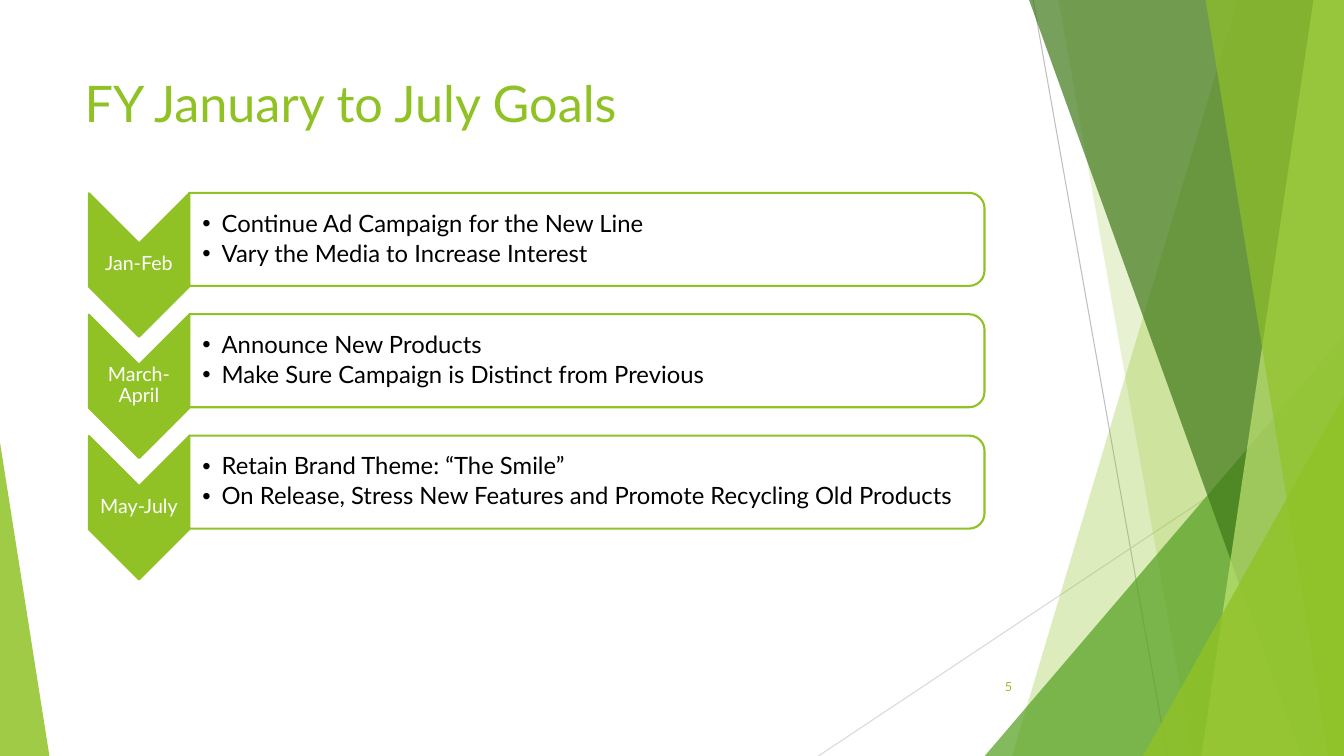
from lxml.etree import SubElement
from pptx import Presentation
from pptx.dml.color import RGBColor
from pptx.enum.shapes import MSO_CONNECTOR as Connector, MSO_SHAPE as Preset
from pptx.enum.text import MSO_ANCHOR as Anchor, MSO_AUTO_SIZE as AutoSize, PP_ALIGN as Align
from pptx.oxml.ns import qn
from pptx.util import Pt

COLORS = {
    "lime": "90C226",
    "green": "54A021",
    "forest": "3F7819",
    "pale": "C0E474",
    "white": "FFFFFF",
    "black": "000000",
    "gray": "BFBFBF",
    "light_gray": "D9D9D9",
}
WIDTH, HEIGHT = 960, 540
PITCH = 86.7

GOALS = [
    ("Jan-Feb", ["Continue Ad Campaign for the New Line",
                 "Vary the Media to Increase Interest"]),
    ("March-April", ["Announce New Products",
                     "Make Sure Campaign is Distinct from Previous"]),
    ("May-July", ["Retain Brand Theme: “The Smile”",
                  "On Release, Stress New Features and Promote Recycling Old Products"]),
]


class GoalSlide:
    font = "Lato"

    def __init__(self, slide):
        self.slide = slide
        self.shapes = slide.shapes

    def color(self, name):
        return RGBColor.from_string(COLORS[name])

    def paint(self, shape, fill, opacity=100, outline=None):
        shape.shadow.inherit = False
        shape.fill.solid()
        shape.fill.fore_color.rgb = self.color(fill)
        if opacity < 100:
            tint = shape.element.spPr.find(qn("a:solidFill"))[0]
            SubElement(tint, qn("a:alpha"), val=str(opacity * 1000))
        if outline:
            shape.line.color.rgb = self.color(outline)
            shape.line.width = Pt(1.5)
        else:
            shape.line.fill.background()

    def ray(self, start, end, color):
        ray = self.shapes.add_connector(
            Connector.STRAIGHT, *(Pt(value) for value in (*start, *end)))
        ray.line.color.rgb = self.color(color)
        ray.line.width = Pt(0.75)
        SubElement(ray.element.spPr, qn("a:effectLst"))

    def facet(self, top_x, bottom_x, color, opacity):
        outline = self.shapes.build_freeform(Pt(top_x), 0, scale=1.0)
        outline.add_line_segments(
            [(Pt(WIDTH), 0), (Pt(WIDTH), Pt(HEIGHT)), (Pt(bottom_x), Pt(HEIGHT))])
        self.paint(outline.convert_to_shape(), color, opacity)

    def preset(self, kind, box, fill, opacity=100, outline=None, apex=None, rotation=0):
        shape = self.shapes.add_shape(kind, *(Pt(value) for value in box))
        shape.rotation = rotation
        if apex is not None:
            shape.adjustments[0] = apex
        self.paint(shape, fill, opacity, outline)

    def upright(self, kind, center, size, fill, opacity=100):
        (x, y), (w, h) = center, size
        self.preset(kind, (x - w / 2, y - h / 2, w, h), fill, opacity, "lime", rotation=90)

    def typeset(self, holder, lines, size, color, align=Align.LEFT, anchor=Anchor.MIDDLE,
                insets=(7.2, 3.6, 7.2, 3.6), spacing=1.0, after=0):
        frame = holder.text_frame
        frame.text = "\n".join(lines)
        frame.word_wrap = True
        frame.auto_size = AutoSize.NONE
        frame.vertical_anchor = anchor
        (frame.margin_left, frame.margin_top,
         frame.margin_right, frame.margin_bottom) = map(Pt, insets)
        for paragraph in frame.paragraphs:
            paragraph.alignment = align
            paragraph.line_spacing = spacing
            paragraph.space_before = Pt(0)
            paragraph.space_after = Pt(after)
            for run in paragraph.runs:
                run.font.name = self.font
                run.font.size = Pt(size)
                run.font.bold = False
                run.font.color.rgb = self.color(color)

    def text(self, box, line, size, color, **layout):
        holder = self.shapes.add_textbox(*(Pt(value) for value in box))
        self.typeset(holder, [line], size, color, **layout)

    def placeholder(self, index, box, lines, size, color, **layout):
        holder = self.slide.placeholders[index]
        holder.left, holder.top, holder.width, holder.height = map(Pt, box)
        self.typeset(holder, lines, size, color, **layout)
        holder.element.getparent().append(holder.element)
        return holder

    def bullets(self, index, box, lines):
        goals = self.placeholder(index, box, lines, 17, "black",
                                 insets=(9.4, 0.7, 0.7, 0.7), spacing=0.9, after=3)
        for paragraph in goals.text_frame.paragraphs:
            properties = paragraph._p.get_or_add_pPr()
            properties.set("marL", str(Pt(13.7)))
            properties.set("indent", str(-Pt(13.7)))
            SubElement(properties, qn("a:buFont"), typeface="Arial")
            SubElement(properties, qn("a:buChar"), char="•")

    def remove_placeholder(self, index):
        spare = self.slide.placeholders[index].element
        spare.getparent().remove(spare)


def main():
    deck = Presentation()
    deck.slide_width, deck.slide_height = Pt(WIDTH), Pt(HEIGHT)
    page = GoalSlide(deck.slides.add_slide(deck.slide_layouts[4]))

    page.ray((738, 0), (833.8, HEIGHT), "gray")
    page.ray((WIDTH, 290.2), (584.6, HEIGHT), "light_gray")
    page.facet(884.2, 722.9, "lime", 30)
    page.facet(756, 851.8, "lime", 20)
    page.preset(Preset.ISOSCELES_TRIANGLE, (703.4, 239.8, 256.6, 300.2), "green", 72, apex=1)
    page.facet(735.1, 929.5, "forest", 70)
    page.facet(938.2, 858.2, "pale", 70)
    page.facet(861.1, 949, "lime", 65)
    page.preset(Preset.ISOSCELES_TRIANGLE, (816.5, 283, 143.5, 257), "lime", 80, apex=1)
    page.preset(Preset.ISOSCELES_TRIANGLE, (0, 316.1, 35.3, 223.9), "lime", 85, apex=0)

    page.placeholder(0, (53.3, 48, 676.9, 104), ["FY January to July Goals"], 36, "lime",
                     anchor=Anchor.TOP)
    page.text((676.1, 476, 54, 28.8), "5", 9, "lime", align=Align.RIGHT)

    for row, (index, (months, goals)) in enumerate(zip((1, 2, 4), GOALS)):
        offset = row * PITCH
        page.upright(Preset.CHEVRON, (99.3, 189.3 + offset), (102.4, 71.7), "lime")
        page.text((63.4, 173.5 + offset, 71.7, 30.7), months, 14, "white",
                  align=Align.CENTER, insets=(0.7,) * 4, spacing=0.9)
        page.upright(Preset.ROUND_2_SAME_RECTANGLE, (419.2, 171 + offset), (66.5, 568.1),
                     "white", 90)
        page.bullets(index, (135.2, 141.1 + offset, 565.2, 59.8), goals)
    page.remove_placeholder(3)

    deck.save("out.pptx")


if __name__ == "__main__":
    main()
